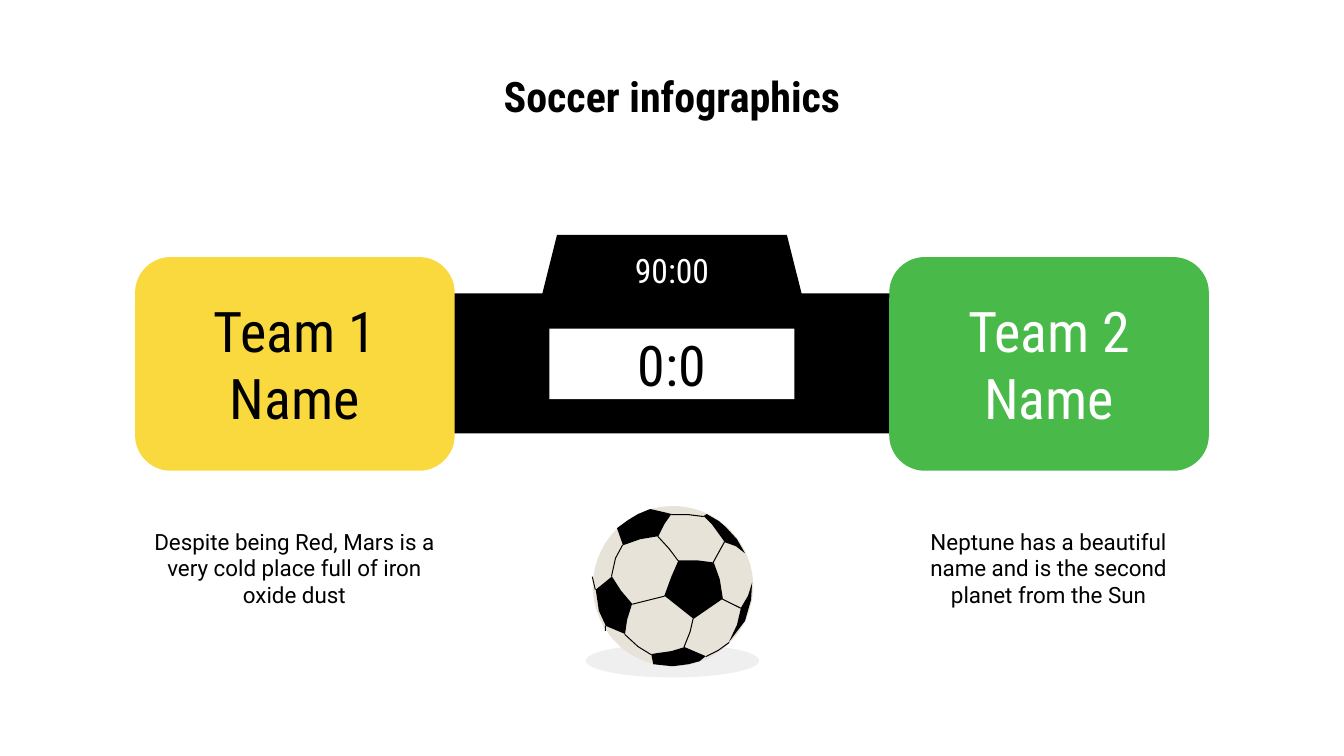
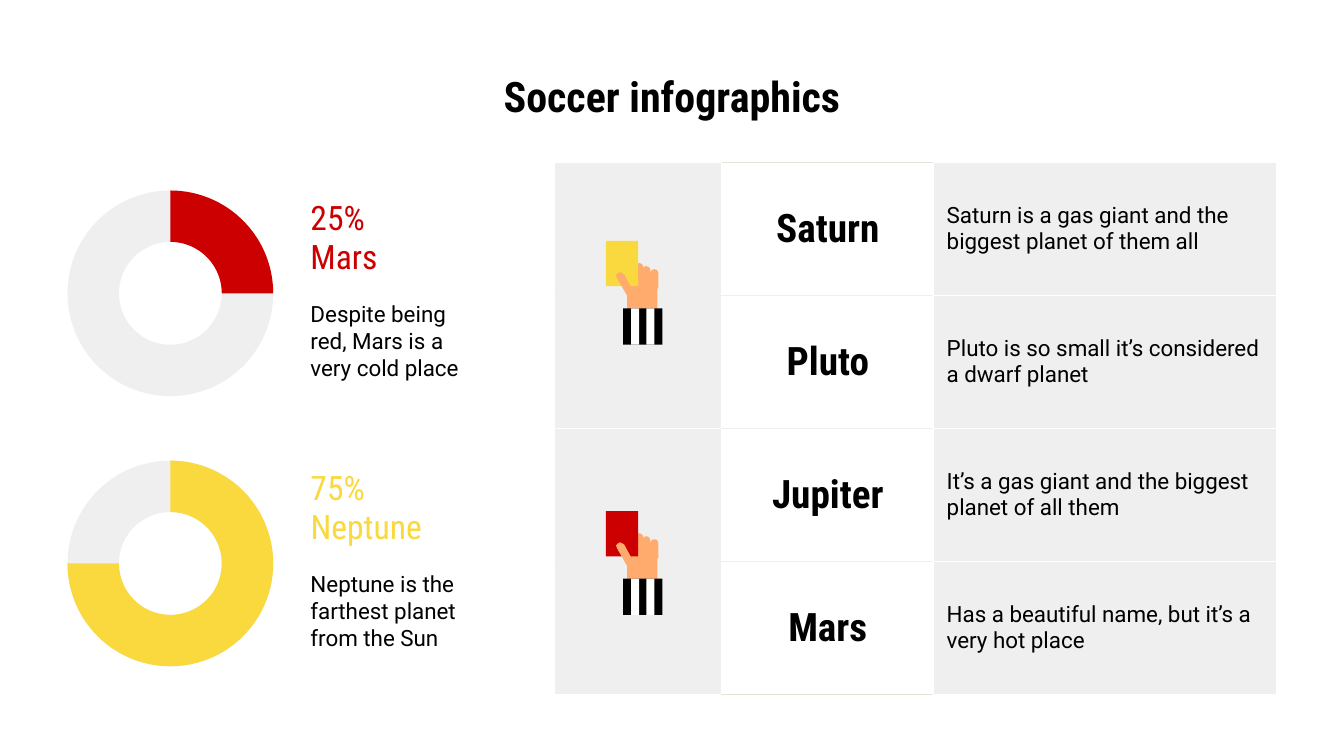
"""Build two soccer infographic slides: a scoreboard, and planet shares with a card table."""
import math

import lxml.etree
import pptx
import pptx.dml.color
import pptx.enum.shapes
import pptx.enum.text
import pptx.oxml.ns
import pptx.util

Inches = pptx.util.Inches
SHAPE = pptx.enum.shapes.MSO_SHAPE
ALIGN = pptx.enum.text.PP_ALIGN
ANCHOR = pptx.enum.text.MSO_ANCHOR

BLACK, WHITE, GREY, CREAM = "000000", "FFFFFF", "EFEFEF", "E8E3D9"
YELLOW, GREEN, RED, SKIN = "F9D93D", "49BA49", "CC0000", "FFAB6D"
PADDING = 0.13
TITLE = "Soccer infographics"

HEAD, BODY = "Roboto Condensed", "Roboto"
TITLE_FONT = {"name": HEAD, "size": pptx.util.Pt(30), "bold": True}
SCORE_FONT = {"name": HEAD, "size": pptx.util.Pt(40), "bold": False}
LABEL_FONT = {"name": HEAD, "size": pptx.util.Pt(24), "bold": False}
PLANET_FONT = {"name": HEAD, "size": pptx.util.Pt(28), "bold": True}
BODY_FONT = {"name": BODY, "size": pptx.util.Pt(16), "bold": False}

TEAMS = [
    (1.34, YELLOW, BLACK, ["Team 1", "Name"],
     "Despite being Red, Mars is a very cold place full of iron oxide dust"),
    (8.82, GREEN, WHITE, ["Team 2", "Name"],
     "Neptune has a beautiful name and is the second planet from the Sun"),
]
SHARES = [
    (0.25, "Mars", 1.33, RED, "Despite being red, Mars is a very cold place"),
    (0.75, "Neptune", 1.48, YELLOW, "Neptune is the farthest planet from the Sun"),
]
PLANETS = [
    ("Saturn", "Saturn is a gas giant and the biggest planet of them all"),
    ("Pluto", "Pluto is so small it’s considered a dwarf planet"),
    ("Jupiter", "It’s a gas giant and the biggest planet of all them"),
    ("Mars", "Has a beautiful name, but it’s a very hot place"),
]
COLUMN_WIDTHS = [1.66, 2.1, 3.4]
ROW_HEIGHT = 1.32
SHARE_TOP, SHARE_STEP = 1.89, 2.68
CARD_COLORS = [YELLOW, RED]

BALL_PATCHES = [
    [(6.73, 5.56), (6.92, 5.56), (7.08, 5.58), (7.14, 5.75), (7.17, 5.94), (6.88, 6.14),
     (6.59, 5.91), (6.66, 5.72)],
    [(6.18, 5.41), (6.12, 5.24), (6.23, 5.16), (6.33, 5.1), (6.45, 5.05), (6.58, 5.08),
     (6.66, 5.1), (6.59, 5.2), (6.53, 5.32), (6.35, 5.35)],
    [(6.98, 5.12), (7.06, 5.2), (7.19, 5.38), (7.3, 5.42), (7.39, 5.49), (7.31, 5.35),
     (7.2, 5.23), (7.13, 5.17), (7.01, 5.1)],
    [(5.91, 5.85), (6.07, 5.72), (6.16, 5.86), (6.27, 5.99), (6.22, 6.15), (6.2, 6.29),
     (6.01, 6.21), (5.94, 6.06)],
    [(7.46, 5.78), (7.45, 5.95), (7.39, 6.16), (7.23, 6.37), (7.31, 6.2), (7.35, 6.03),
     (7.42, 5.91)],
    [(6.46, 6.49), (6.52, 6.48), (6.66, 6.46), (6.79, 6.42), (7, 6.51), (6.94, 6.56),
     (6.83, 6.59), (6.67, 6.61), (6.48, 6.59)],
]
BALL_SEAMS = [
    [(6.66, 5.1), (6.82, 5.1), (6.98, 5.12)],
    [(6.53, 5.32), (6.64, 5.44), (6.73, 5.56)],
    [(6.18, 5.41), (6.11, 5.54), (6.07, 5.72)],
    [(7.19, 5.38), (7.08, 5.58)],
    [(6.27, 5.99), (6.59, 5.91)],
    [(6.88, 6.14), (6.85, 6.27), (6.79, 6.42)],
    [(7.17, 5.94), (7.35, 6.03)],
    [(6.2, 6.29), (6.33, 6.41), (6.46, 6.49)],
    [(7, 6.51), (7.12, 6.45), (7.23, 6.37)],
    [(5.88, 5.72), (5.91, 5.85)],
    [(6.01, 6.21), (6.01, 6.26)],
]
SEAM_WIDTH = 0.01
FINGERS = [(6.22, 2.59), (6.3, 2.61), (6.37, 2.64), (6.45, 2.67)]
THUMB = [(6.12, 2.76), (6.11, 2.73), (6.13, 2.71), (6.15, 2.7), (6.17, 2.71), (6.19, 2.72),
         (6.33, 2.98), (6.27, 3.02)]


def color(value):
    return pptx.dml.color.RGBColor.from_string(value)


def paint(shape, fill=None):
    shape.shadow.inherit = False
    shape.line.fill.background()
    if fill:
        shape.fill.solid()
        shape.fill.fore_color.rgb = color(fill)
    else:
        shape.fill.background()
    return shape


def add_shape(shapes, kind, box, fill, adjustments=()):
    shape = paint(shapes.add_shape(kind, *map(Inches, box)), fill)
    for index, value in enumerate(adjustments):
        shape.adjustments[index] = value
    return shape


def add_outline(shapes, contours, fill=None):
    contours = [[(Inches(x), Inches(y)) for x, y in contour] for contour in contours]
    builder = shapes.build_freeform(*contours[0][0])
    for index, (start, *corners) in enumerate(contours):
        if index:
            builder.move_to(*start)
        builder.add_line_segments(corners, close=True)
    return paint(builder.convert_to_shape(), fill)


def widen_seam(seam):
    (left, top), (right, bottom) = seam[0], seam[-1]
    scale = SEAM_WIDTH / math.hypot(right - left, bottom - top)
    across, down = (top - bottom) * scale, (right - left) * scale
    return seam + [(x + across, y + down) for x, y in reversed(seam)]


def write(frame, lines, font, ink=BLACK, align=ALIGN.LEFT, spacing=None):
    for index, line in enumerate(lines):
        paragraph = frame.add_paragraph() if index else frame.paragraphs[0]
        paragraph.alignment = align
        paragraph.line_spacing = spacing
        run = paragraph.add_run()
        run.text = line
        for name, value in font.items():
            setattr(run.font, name, value)
        run.font.color.rgb = color(ink)


def write_shape(shape, lines, font, ink=BLACK, align=ALIGN.LEFT, anchor=ANCHOR.MIDDLE,
                side=PADDING, spacing=None):
    frame = shape.text_frame
    layout = {"word_wrap": True, "auto_size": pptx.enum.text.MSO_AUTO_SIZE.NONE,
              "vertical_anchor": anchor, "margin_left": Inches(side),
              "margin_right": Inches(side), "margin_top": Inches(PADDING),
              "margin_bottom": Inches(PADDING)}
    for name, value in layout.items():
        setattr(frame, name, value)
    write(frame, lines, font, ink, align, spacing)


def add_text(slide, box, lines, font, **options):
    write_shape(slide.shapes.add_textbox(*map(Inches, box)), lines, font, **options)


def add_label(slide, box, text, ink, anchor):
    left, top, width, height = box
    right, bottom = left + width, top + height
    corners = [(left, top), (right, top), (right, bottom), (left, bottom)]
    write_shape(add_outline(slide.shapes, [corners]), [text], LABEL_FONT, ink, anchor=anchor)


def add_titled_slide(presentation):
    slide = presentation.slides.add_slide(presentation.slide_layouts[5])
    title = slide.shapes.title
    title.left, title.top, title.width, title.height = map(Inches, (1.04, 0.79, 11.25, 0.6))
    write_shape(title, [TITLE], TITLE_FONT, align=ALIGN.CENTER, anchor=ANCHOR.TOP, spacing=0.5)
    return slide


def add_ball(slide):
    shapes = slide.shapes.add_group_shape().shapes
    add_shape(shapes, SHAPE.OVAL, (5.81, 6.39, 1.72, 0.33), GREY)
    add_shape(shapes, SHAPE.OVAL, (5.88, 5.02, 1.59, 1.59), CREAM)
    add_outline(shapes, BALL_PATCHES + [widen_seam(seam) for seam in BALL_SEAMS], BLACK)


def add_scoreboard(slide):
    add_shape(slide.shapes, SHAPE.RECTANGLE, (3.89, 2.91, 5.55, 1.39), BLACK)
    add_shape(slide.shapes, SHAPE.TRAPEZOID, (5.35, 2.33, 2.63, 0.7), BLACK, [0.25])
    add_text(slide, (5.45, 2.33, 2.43, 0.7), ["90:00"], LABEL_FONT, ink=WHITE,
             align=ALIGN.CENTER)
    score = add_shape(slide.shapes, SHAPE.RECTANGLE, (5.45, 3.26, 2.43, 0.7), WHITE)
    write_shape(score, ["0:0"], SCORE_FONT, align=ALIGN.CENTER)
    for left, fill, ink, name, description in TEAMS:
        add_shape(slide.shapes, SHAPE.ROUNDED_RECTANGLE, (left, 2.55, 3.17, 2.12), fill)
        add_text(slide, (left + 0.37, 2.98, 2.43, 1.26), name, SCORE_FONT, ink=ink,
                 align=ALIGN.CENTER)
        add_text(slide, (left + 0.16, 5.09, 2.84, 1.09), [description], BODY_FONT,
                 align=ALIGN.CENTER, side=0)


def add_share(slide, top, share, planet, label_width, accent, description):
    ring = (0.67, top, 2.04, 2.04)
    end_angle = (share * 360 - 90) * 0.6
    add_shape(slide.shapes, SHAPE.DONUT, ring, GREY, [0.25])
    add_shape(slide.shapes, SHAPE.BLOCK_ARC, ring, accent, [162, end_angle, 0.25])
    add_text(slide, (2.95, top + 0.96, 1.93, 0.95), [description], BODY_FONT, anchor=ANCHOR.TOP)
    add_label(slide, (2.95, top + 0.32, label_width, 0.52), planet, accent, ANCHOR.TOP)
    add_label(slide, (2.95, top + 0.12, 1.33, 0.28), f"{share:.0%}", accent, ANCHOR.MIDDLE)


def format_cell(cell, fill, top=WHITE, bottom=WHITE):
    properties = cell._tc.get_or_add_tcPr()
    for side, border in {"L": WHITE, "R": WHITE, "T": top, "B": bottom}.items():
        line = lxml.etree.SubElement(properties, pptx.oxml.ns.qn(f"a:ln{side}"), w="9525")
        solid = lxml.etree.SubElement(line, pptx.oxml.ns.qn("a:solidFill"))
        lxml.etree.SubElement(solid, pptx.oxml.ns.qn("a:srgbClr"), val=border)
    cell.fill.solid()
    cell.fill.fore_color.rgb = color(fill)
    cell.vertical_anchor = ANCHOR.MIDDLE
    for margin in ("margin_left", "margin_right", "margin_top", "margin_bottom"):
        setattr(cell, margin, Inches(PADDING))


def add_planet_table(slide):
    count = len(PLANETS)
    box = (5.5, 1.61, sum(COLUMN_WIDTHS), ROW_HEIGHT * count)
    table = slide.shapes.add_table(count, len(COLUMN_WIDTHS), *map(Inches, box)).table
    table.first_row = table.horz_banding = False
    for column, width in zip(table.columns, COLUMN_WIDTHS):
        column.width = Inches(width)
    for index, (planet, description) in enumerate(PLANETS):
        table.rows[index].height = Inches(ROW_HEIGHT)
        card, name, detail = table.rows[index].cells
        format_cell(card, GREY, *((GREY, WHITE) if index % 2 else (WHITE, GREY)))
        format_cell(name, WHITE, GREY if index else CREAM,
                    GREY if index < count - 1 else CREAM)
        format_cell(detail, GREY)
        write(name.text_frame, [planet], PLANET_FONT, align=ALIGN.CENTER)
        write(detail.text_frame, [description], BODY_FONT)


def add_hand(slide, drop, card_color):
    shapes = slide.shapes.add_group_shape().shapes

    def add_block(left, top, width, height, fill, kind=SHAPE.RECTANGLE, adjustments=()):
        add_shape(shapes, kind, (left, top + drop, width, height), fill, adjustments)

    for left, top in FINGERS:
        add_block(left, top, 0.08, 0.19, SKIN, SHAPE.ROUND_2_SAME_RECTANGLE, [0.5, 0])
    add_block(6.22, 2.7, 0.3, 0.49, SKIN)
    add_block(6.01, 2.39, 0.32, 0.45, card_color)
    add_outline(shapes, [[(x, y + drop) for x, y in THUMB]], SKIN)
    add_block(6.18, 3.06, 0.39, 0.36, BLACK)
    for left in (6.26, 6.41):
        add_block(left, 3.06, 0.08, 0.36, WHITE)


def main():
    presentation = pptx.Presentation()
    presentation.slide_width, presentation.slide_height = Inches(13.33), Inches(7.5)

    match_slide = add_titled_slide(presentation)
    add_scoreboard(match_slide)
    add_ball(match_slide)

    planet_slide = add_titled_slide(presentation)
    add_planet_table(planet_slide)
    for index, (share, card_color) in enumerate(zip(SHARES, CARD_COLORS)):
        drop = index * SHARE_STEP
        add_share(planet_slide, SHARE_TOP + drop, *share)
        add_hand(planet_slide, drop, card_color)

    presentation.save("out.pptx")


if __name__ == "__main__":
    main()
